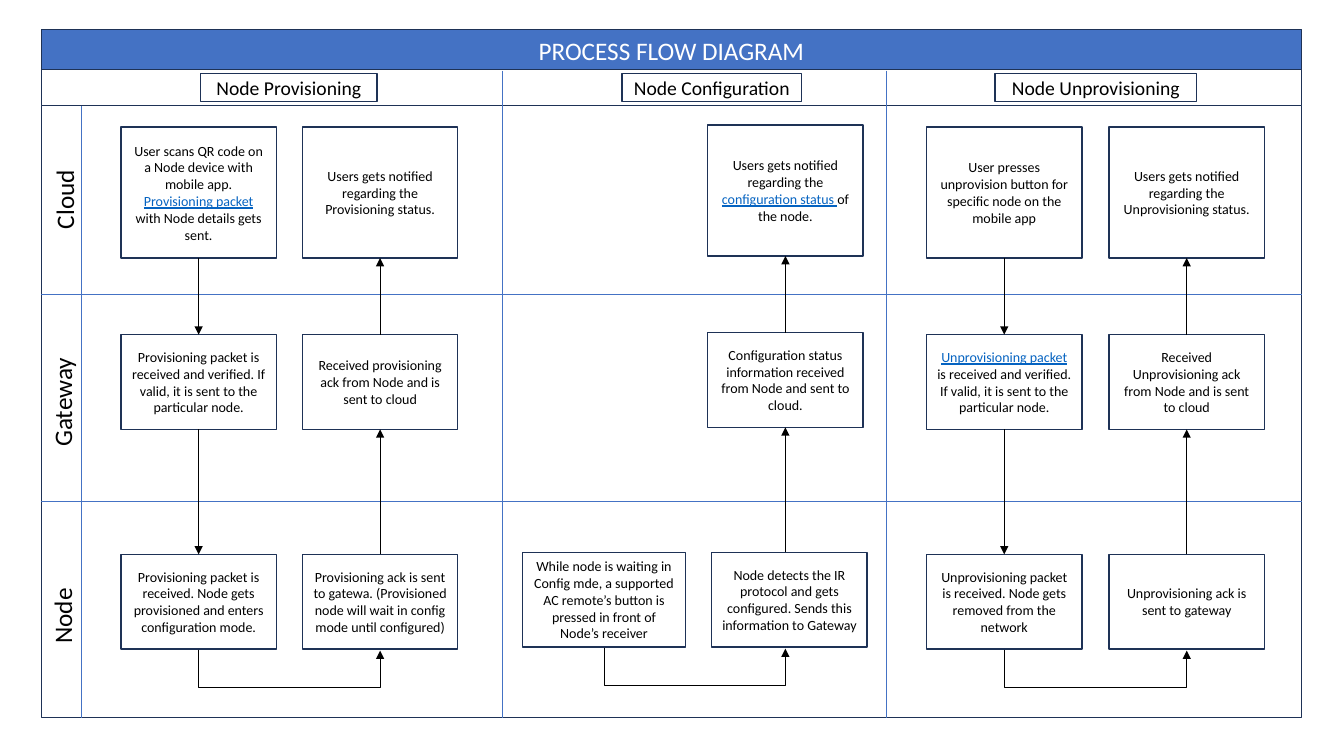
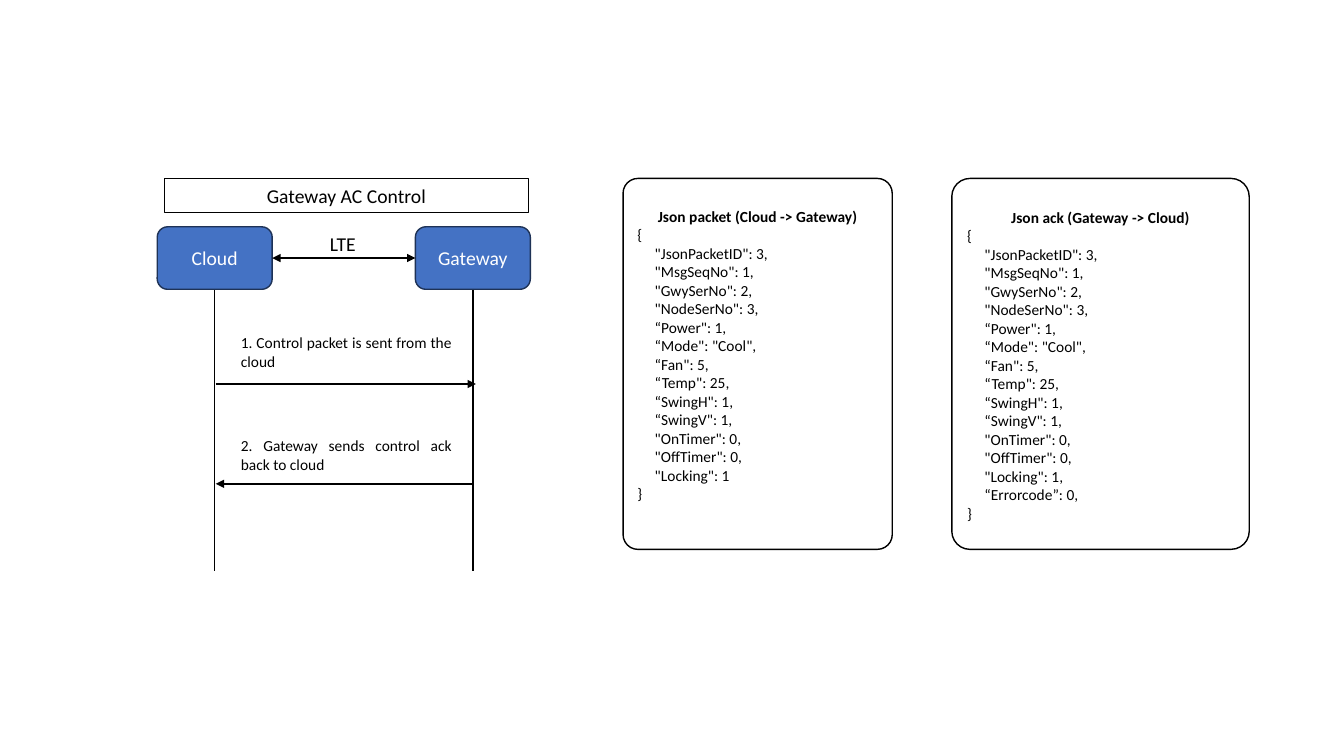
from lxml.etree import SubElement
from pptx import Presentation
from pptx.dml.color import RGBColor
from pptx.enum.shapes import MSO_CONNECTOR, MSO_SHAPE
from pptx.enum.text import MSO_ANCHOR, PP_ALIGN
from pptx.oxml.ns import qn
from pptx.util import Inches, Pt

COLORS = {
    "blue": "4472C4",
    "navy": "1E3256",
    "link": "0563C1",
    "black": "000000",
    "white": "FFFFFF",
}
FONT = "Calibri"
LINK_MARK = "|"

TITLE = "PROCESS FLOW DIAGRAM"
FRAME_LEFT, FRAME_WIDTH = 0.41, 12.5
LANES_TOP, LANES_BOTTOM = 1.05, 7.12
LANE_LABELS = [("Cloud", -0.07, 1.78), ("Gateway", -0.09, 3.79), ("Node", -0.09, 5.91)]
LANE_DIVIDERS = [2.92, 4.97]
PHASE_DIVIDERS = [4.98, 8.79]
ROWS = [(1.26, 1.3), (3.32, 0.94), (5.5, 0.94)]
STEP_WIDTH = 1.54
TURN_DEPTH = 0.38

PHASES = [
    {
        "name": "Node Provisioning", "heading": (1.99, 1.75), "shift": 0,
        "down": (1.2, STEP_WIDTH, [
            "User scans QR code on a Node device with mobile app. |Provisioning packet |with Node details gets sent.",
            "Provisioning packet is received and verified. If valid, it is sent to the particular node.",
            "Provisioning packet is received. Node gets provisioned and enters configuration mode.",
        ]),
        "up": (3, STEP_WIDTH, [
            "Users gets notified regarding the Provisioning status.",
            "Received provisioning ack from Node and is sent to cloud",
            "Provisioning ack is sent to gatewa. (Provisioned node will wait in config mode until configured)",
        ]),
    },
    {
        "name": "Node Configuration", "heading": (6.17, 1.78), "shift": -0.02,
        "down": (5.18, 1.62, [
            None,
            None,
            "While node is waiting in Config mde, a supported AC remote’s button is pressed in front of Node’s receiver",
        ]),
        "up": (7.02, STEP_WIDTH, [
            "Users gets notified regarding the |configuration status |of the node.",
            "Configuration status information received from Node and sent to cloud.",
            "Node detects the IR protocol and gets configured. Sends this information to Gateway",
        ]),
        "node_offset": 0.04,
    },
    {
        "name": "Node Unprovisioning", "heading": (9.87, 2), "shift": 0,
        "down": (9.19, STEP_WIDTH, [
            "User presses unprovision button for specific node on the mobile app",
            "|Unprovisioning packet |is received and verified. If valid, it is sent to the particular node.",
            "Unprovisioning packet is received. Node gets removed from the network",
        ]),
        "up": (11, STEP_WIDTH, [
            "Users gets notified regarding the Unprovisioning status.",
            "Received Unprovisioning ack from Node and is sent to cloud",
            "Unprovisioning ack is sent to gateway",
        ]),
    },
]

ACTORS = [("Cloud", 1.56), ("Gateway", 4.12)]
ACTOR_TOP, ACTOR_WIDTH, ACTOR_HEIGHT = 2.25, 1.14, 0.62
LIFELINE_BOTTOM = 5.66
MESSAGES = [
    ("1. Control packet is sent from the cloud", 3.26, 3.81, (2.14, 4.72)),
    ("2. Gateway sends control ack back to cloud", 4.28, 4.8, (4.69, 2.14)),
]
PACKET_FIELDS = [
    '"JsonPacketID": 3,', '"MsgSeqNo": 1,', '"GwySerNo": 2,', '"NodeSerNo": 3,',
    '“Power": 1,', '“Mode": "Cool",', '“Fan": 5,', '“Temp": 25,', '“SwingH": 1,',
    '“SwingV": 1,', '"OnTimer": 0,', '"OffTimer": 0,',
]
JSON_PANELS = [
    ("Json packet (Cloud -> Gateway)", 6.18, 2.67, 0.055, ['"Locking": 1']),
    ("Json ack (Gateway -> Cloud)", 9.44, 2.95, 0.061, ['"Locking": 1,', "“Errorcode”: 0,"]),
]
CODE_INDENT = "     "


def color(name):
    return RGBColor.from_string(COLORS[name])


def add_run(paragraph, text, size, ink="black", **formats):
    run = paragraph.add_run()
    run.text = text
    for name, value in {"name": FONT, "size": Pt(size), **formats}.items():
        setattr(run.font, name, value)
    run.font.color.rgb = color(ink)


def write(shape, text, size, ink="black", align=PP_ALIGN.CENTER, anchor=MSO_ANCHOR.MIDDLE):
    frame = shape.text_frame
    frame.word_wrap = True
    frame.vertical_anchor = anchor
    paragraph = frame.paragraphs[0]
    paragraph.alignment = align
    for index, piece in enumerate(text.split(LINK_MARK)):
        if piece:
            is_link = index % 2 == 1
            add_run(paragraph, piece, size, "link" if is_link else ink, underline=is_link)


def add_box(slide, left, top, width, height, fill="white", line="navy", kind=MSO_SHAPE.RECTANGLE):
    shape = slide.shapes.add_shape(kind, Inches(left), Inches(top), Inches(width), Inches(height))
    shape.shadow.inherit = False
    shape.fill.solid()
    shape.fill.fore_color.rgb = color(fill)
    shape.line.color.rgb = color(line)
    shape.line.width = Pt(1)
    return shape


def add_label(slide, text, left, top, width, height, size, align=PP_ALIGN.CENTER):
    label = slide.shapes.add_textbox(Inches(left), Inches(top), Inches(width), Inches(height))
    write(label, text, size, align=align, anchor=MSO_ANCHOR.TOP)
    return label


def add_line(slide, start, end, ink="black", width=0.5, arrows=(), kind=MSO_CONNECTOR.STRAIGHT):
    points = [Inches(value) for value in (*start, *end)]
    connector = slide.shapes.add_connector(kind, *points)
    connector.line.color.rgb = color(ink)
    connector.line.width = Pt(width)
    outline = connector.line._get_or_add_ln()
    for arrow in arrows:
        SubElement(outline, qn(f"a:{arrow}")).set("type", "triangle")
    SubElement(connector._element.spPr, qn("a:effectLst"))
    return connector


def add_turn(slide, start_x, end_x, y):
    thickness = 0.01
    middle = (start_x + end_x) / 2
    span = end_x - start_x
    start = (middle - thickness / 2, y - span / 2)
    end = (middle + thickness / 2, y + span / 2)
    connector = add_line(slide, start, end, arrows=["tailEnd"], kind=MSO_CONNECTOR.ELBOW)
    properties = connector._element.spPr
    transform = properties.find(qn("a:xfrm"))
    transform.set("rot", str(270 * 60000))
    transform.set("flipH", "1")
    geometry = properties.find(qn("a:prstGeom"))
    adjustments = geometry.find(qn("a:avLst"))
    if adjustments is None:
        adjustments = SubElement(geometry, qn("a:avLst"))
    guide = SubElement(adjustments, qn("a:gd"))
    guide.set("name", "adj1")
    guide.set("fmla", f"val {round(TURN_DEPTH / thickness * 100000)}")


def add_phase(slide, phase):
    rows = [(top + phase["shift"], height) for top, height in ROWS]
    centers = {}
    for direction in ("down", "up"):
        left, width, steps = phase[direction]
        center = centers[direction] = left + width / 2
        for index, (text, (top, height)) in enumerate(zip(steps, rows)):
            is_last_up = direction == "up" and index == len(rows) - 1
            offset = phase.get("node_offset", 0) if is_last_up else 0
            if text:
                write(add_box(slide, left + offset, top, width, height), text, 10)
        for index in range(len(rows) - 1):
            if steps[index] and steps[index + 1]:
                ends = [(center, sum(rows[index])), (center, rows[index + 1][0])]
                if direction == "up":
                    ends.reverse()
                add_line(slide, *ends, arrows=["tailEnd"])
    add_turn(slide, centers["down"], centers["up"], sum(rows[-1]) + 0.01)


def build_process_flow(slide):
    title = add_box(slide, FRAME_LEFT, 0.29, FRAME_WIDTH, 0.42, fill="blue")
    write(title, TITLE, 18, "white")
    add_box(slide, FRAME_LEFT, LANES_TOP, FRAME_WIDTH, LANES_BOTTOM - LANES_TOP)
    for y in LANE_DIVIDERS:
        add_line(slide, (FRAME_LEFT, y), (FRAME_LEFT + FRAME_WIDTH, y), "blue")
    add_line(slide, (0.81, LANES_TOP), (0.81, LANES_BOTTOM), "blue")
    for text, left, top in LANE_LABELS:
        add_label(slide, text, left, top, 1.41, 0.4, 18).rotation = 270
    add_box(slide, FRAME_LEFT, 0.69, FRAME_WIDTH, 0.36)
    for x in PHASE_DIVIDERS:
        add_line(slide, (x, 0.7), (x, LANES_BOTTOM), "blue")
    for phase in PHASES:
        left, width = phase["heading"]
        write(add_box(slide, left, 0.73, width, 0.28), phase["name"], 14)
        add_phase(slide, phase)


def add_json_panel(slide, heading, left, width, corner, last_fields):
    panel = add_box(slide, left, 1.77, width, 3.68, line="black", kind=MSO_SHAPE.ROUNDED_RECTANGLE)
    panel.adjustments[0] = corner
    frame = panel.text_frame
    frame.word_wrap = True
    frame.vertical_anchor = MSO_ANCHOR.TOP
    frame.margin_top = Inches(0.24)
    frame.paragraphs[0].alignment = PP_ALIGN.CENTER
    add_run(frame.paragraphs[0], heading, 11, bold=True)
    fields = [CODE_INDENT + field for field in PACKET_FIELDS + last_fields]
    for text in ["{", *fields, "}"]:
        paragraph = frame.add_paragraph()
        paragraph.alignment = PP_ALIGN.LEFT
        add_run(paragraph, text, 11)


def build_gateway_control(slide):
    heading = add_box(slide, 1.63, 1.77, 3.61, 0.34, line="black")
    write(heading, "Gateway AC Control", 14)
    actor_bottom = ACTOR_TOP + ACTOR_HEIGHT
    for text, left in ACTORS:
        center = left + ACTOR_WIDTH / 2
        add_line(slide, (center, actor_bottom), (center, LIFELINE_BOTTOM), width=1)
        actor = add_box(slide, left, ACTOR_TOP, ACTOR_WIDTH, ACTOR_HEIGHT, "blue",
                        kind=MSO_SHAPE.ROUNDED_RECTANGLE)
        write(actor, text, 14, "white")
    link_y = ACTOR_TOP + ACTOR_HEIGHT / 2
    add_line(slide, (ACTORS[0][1] + ACTOR_WIDTH, link_y), (ACTORS[1][1], link_y),
             width=1, arrows=["headEnd", "tailEnd"])
    add_label(slide, "LTE", 2.98, ACTOR_TOP, 0.84, 0.34, 14)
    for text, top, arrow_y, (start_x, end_x) in MESSAGES:
        add_label(slide, text, 2.29, top, 2.29, 0.47, 11, PP_ALIGN.JUSTIFY)
        add_line(slide, (start_x, arrow_y), (end_x, arrow_y), width=1, arrows=["tailEnd"])
    for panel in JSON_PANELS:
        add_json_panel(slide, *panel)


def main():
    presentation = Presentation()
    presentation.slide_width = Inches(13.33)
    presentation.slide_height = Inches(7.5)
    for build in (build_process_flow, build_gateway_control):
        build(presentation.slides.add_slide(presentation.slide_layouts[6]))
    presentation.save("out.pptx")


if __name__ == "__main__":
    main()
